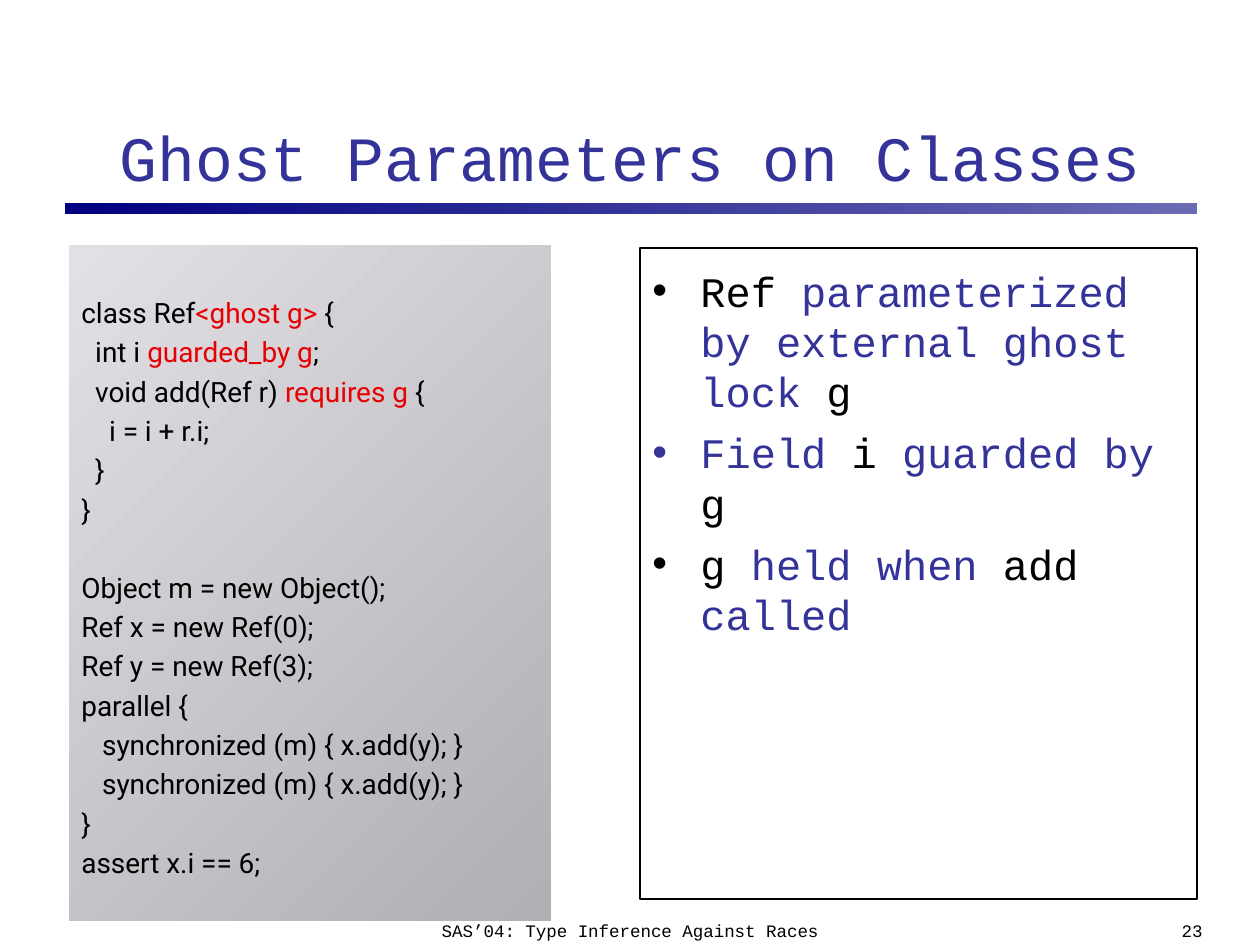
"""Build the slide on ghost parameters for classes."""
import pptx
import pptx.util
import pptx.dml.color
import pptx.enum.shapes
import pptx.enum.text
import pptx.oxml
import pptx.oxml.ns

SCALE = 914400 / 126
COLORS = {
    "black": "000000", "blue": "333399", "red": "E60000",
    "bar_light": "6B6BB5", "bar_dark": "000080",
    "panel_dark": "B1AFB3", "panel_light": "E2DFE5",
}
RECTANGLE = pptx.enum.shapes.MSO_SHAPE.RECTANGLE
ALIGN = pptx.enum.text.PP_ALIGN
ANCHOR = pptx.enum.text.MSO_ANCHOR


def color(name):
    return pptx.dml.color.RGBColor.from_string(COLORS[name])


def write(shape, paragraphs, font="Courier New", size=10, align=ALIGN.LEFT,
          anchor=ANCHOR.TOP, top=6, gap=0, spacing=None, bullet=False):
    frame = shape.text_frame
    frame.word_wrap = True
    frame.vertical_anchor = anchor
    frame.margin_top = int(top * SCALE)
    for index, (extra, runs) in enumerate(paragraphs):
        paragraph = frame.paragraphs[0] if index == 0 else frame.add_paragraph()
        paragraph.alignment = align
        paragraph.line_spacing = spacing
        paragraph.space_before = pptx.util.Pt(gap + extra if index else 0)
        if bullet:
            properties = paragraph._p.get_or_add_pPr()
            properties.set("marL", str(int(48 * SCALE)))
            properties.set("indent", str(int(-48 * SCALE)))
            namespace = pptx.oxml.ns.nsdecls("a")
            for xml in (
                f'<a:buClr {namespace}><a:srgbClr val="{COLORS[runs[0][1]]}"/></a:buClr>',
                f'<a:buFont {namespace} typeface="Arial"/>',
                f'<a:buChar {namespace} char="•"/>',
            ):
                properties.append(pptx.oxml.parse_xml(xml))
        for text, name in runs:
            run = paragraph.add_run()
            run.text = text
            run.font.name = font
            run.font.size = pptx.util.Pt(size)
            run.font.color.rgb = color(name)


presentation = pptx.Presentation()
presentation.slide_width = int(1260 * SCALE)
presentation.slide_height = int(945 * SCALE)
slide = presentation.slides.add_slide(presentation.slide_layouts[6])

panels = {}
for name, box, stops, angle in (
    ("bar", (65, 203, 1132, 11), ("bar_light", "bar_dark"), 180),
    ("code", (69, 245, 482, 676), ("panel_dark", "panel_light"), 135),
    ("notes", (640, 248, 557, 651), None, None),
):
    shape = slide.shapes.add_shape(RECTANGLE, *(int(value * SCALE) for value in box))
    shape.shadow.inherit = False
    if stops:
        shape.fill.gradient()
        shape.fill.gradient_angle = angle
        for stop, stop_name in zip(shape.fill.gradient_stops, stops):
            stop.color.rgb = color(stop_name)
        shape.line.fill.background()
    else:
        shape.fill.background()
        shape.line.color.rgb = color("black")
        shape.line.width = pptx.util.Pt(0.75)
    panels[name] = shape

for text, box, style in (
    ("Ghost Parameters on Classes", (63, 93, 1134, 126),
     {"size": 36, "align": ALIGN.CENTER, "anchor": ANCHOR.MIDDLE}),
    ("SAS’04: Type Inference Against Races", (382, 914, 496, 65),
     {"align": ALIGN.CENTER}),
    ("23", (921, 914, 294, 65), {"align": ALIGN.RIGHT}),
):
    shape = slide.shapes.add_textbox(*(int(value * SCALE) for value in box))
    write(shape, [(0, [(text, "blue" if "size" in style else "black")])], **style)

code = [
    (0, [("class Ref", "black"), ("<ghost g>", "red"), (" {", "black")]),
    (0, [("  int i ", "black"), ("guarded_by g", "red"), (";", "black")]),
    (0, [("  void add(Ref r) ", "black"), ("requires g", "red"), (" {", "black")]),
    (0, [("    i = i + r.i;", "black")]),
    (0, [("  }", "black")]),
    (0, [("}", "black")]),
    (22, [("Object m = new Object();", "black")]),
    (0, [("Ref x = new Ref(0);", "black")]),
    (0, [("Ref y = new Ref(3);", "black")]),
    (0, [("parallel {", "black")]),
    (0, [("   synchronized (m) { x.add(y); }", "black")]),
    (0, [("   synchronized (m) { x.add(y); }", "black")]),
    (0, [("}", "black")]),
    (0, [("assert x.i == 6;", "black")]),
]
write(panels["code"], code, font="Roboto", size=16, top=61, gap=10, spacing=0.65)

notes = [
    (0, [("Ref", "black"), (" parameterized by external ghost lock ", "blue"),
         ("g", "black")]),
    (0, [("Field ", "blue"), ("i", "black"), (" guarded by ", "blue"), ("g", "black")]),
    (0, [("g", "black"), (" held when ", "blue"), ("add", "black"),
         (" called", "blue")]),
]
write(panels["notes"], notes, size=24, top=17, gap=6, bullet=True)

presentation.save("out.pptx")
